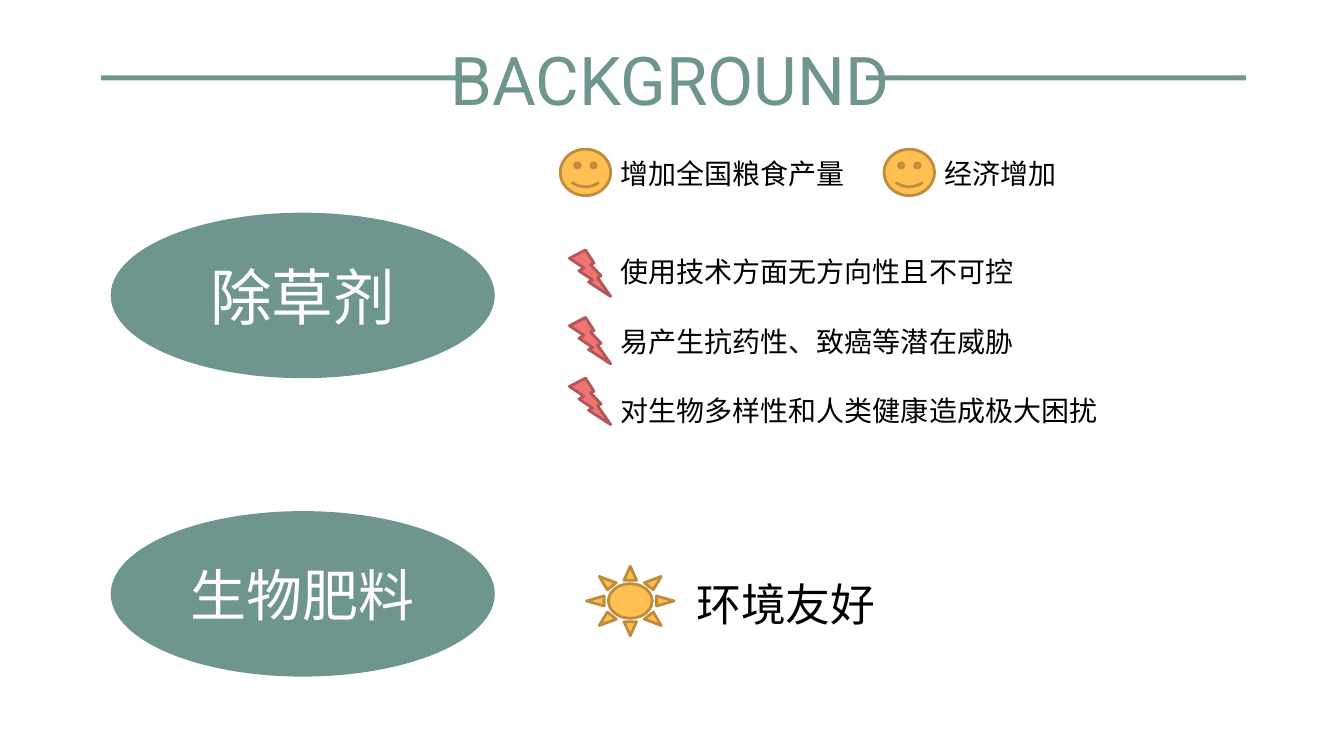
from lxml.etree import SubElement
from pptx import Presentation
from pptx.dml.color import RGBColor
from pptx.enum.shapes import MSO_SHAPE
from pptx.enum.text import MSO_ANCHOR, PP_ALIGN
from pptx.oxml.ns import qn
from pptx.util import Cm, Pt

GREEN, YELLOW, RED = "6F958F", "FFBF53", "F17475"
BROWN, DARK_RED = "BD8D3D", "B25657"
CHINESE = "Noto Sans CJK SC"


def add_figure(kind, left, top, width, height, fill, outline=None):
    figure = page.shapes.add_shape(kind, Cm(left), Cm(top), Cm(width), Cm(height))
    figure.shadow.inherit = False
    figure.fill.solid()
    figure.fill.fore_color.rgb = RGBColor.from_string(fill)
    if outline:
        figure.line.color.rgb = RGBColor.from_string(outline)
        figure.line.width = Pt(2)
    else:
        figure.line.fill.background()
    return figure


def write(box, text, size, color, font=CHINESE, align=PP_ALIGN.LEFT, anchor=MSO_ANCHOR.TOP):
    frame = box.text_frame
    frame.word_wrap = True
    frame.vertical_anchor = anchor
    para = frame.paragraphs[0]
    para.alignment = align
    span = para.add_run()
    span.text = text
    formats = {"name": font, "size": Pt(size), "bold": False}
    for name, value in formats.items():
        setattr(span.font, name, value)
    span.font.color.rgb = RGBColor.from_string(color)
    SubElement(span.font._element, qn("a:ea"), typeface=font)


deck = Presentation()
deck.slide_width, deck.slide_height = Cm(33.87), Cm(19.05)
page = deck.slides.add_slide(deck.slide_layouts[5])

title = page.shapes.title
place = {"left": 9.04, "top": 0.84, "width": 15.7, "height": 2.31}
for name, value in place.items():
    setattr(title, name, Cm(value))
write(title, "BACKGROUND", 48, GREEN, "Roboto", PP_ALIGN.CENTER)

for left in (2.54, 21.82):
    add_figure(MSO_SHAPE.RECTANGLE, left, 1.9, 9.58, 0.13, GREEN)

for topic, top, size in (("除草剂", 5.36, 44), ("生物肥料", 12.88, 40)):
    oval = add_figure(MSO_SHAPE.OVAL, 2.79, top, 9.68, 4.17, GREEN)
    write(oval, topic, size, "FFFFFF", align=PP_ALIGN.CENTER, anchor=MSO_ANCHOR.MIDDLE)

for left in (14.12, 22.28):
    add_figure(MSO_SHAPE.SMILEY_FACE, left, 3.76, 1.27, 1.17, YELLOW, BROWN)

for top in (6.3, 8, 9.53):
    add_figure(MSO_SHAPE.LIGHTNING_BOLT, 14.35, top, 1.04, 1.17, RED, DARK_RED)

add_figure(MSO_SHAPE.SUN, 14.78, 14.27, 2.21, 1.75, YELLOW, BROWN)

statements = [
    ("增加全国粮食产量", 15.39, 3.81, 6.48, 1.12, 20),
    ("经济增加", 23.55, 3.81, 9.5, 1.12, 20),
    ("使用技术方面无方向性且不可控", 15.39, 6.3, 14.12, 1.12, 20),
    ("易产生抗药性、致癌等潜在威胁", 15.39, 8.05, 14.12, 1.12, 20),
    ("对生物多样性和人类健康造成极大困扰", 15.39, 9.78, 14.12, 1.12, 20),
    ("环境友好", 17.3, 14.4, 14.12, 1.63, 32),
]
for text, left, top, width, height, size in statements:
    box = page.shapes.add_textbox(Cm(left), Cm(top), Cm(width), Cm(height))
    write(box, text, size, "000000")

deck.save("out.pptx")
